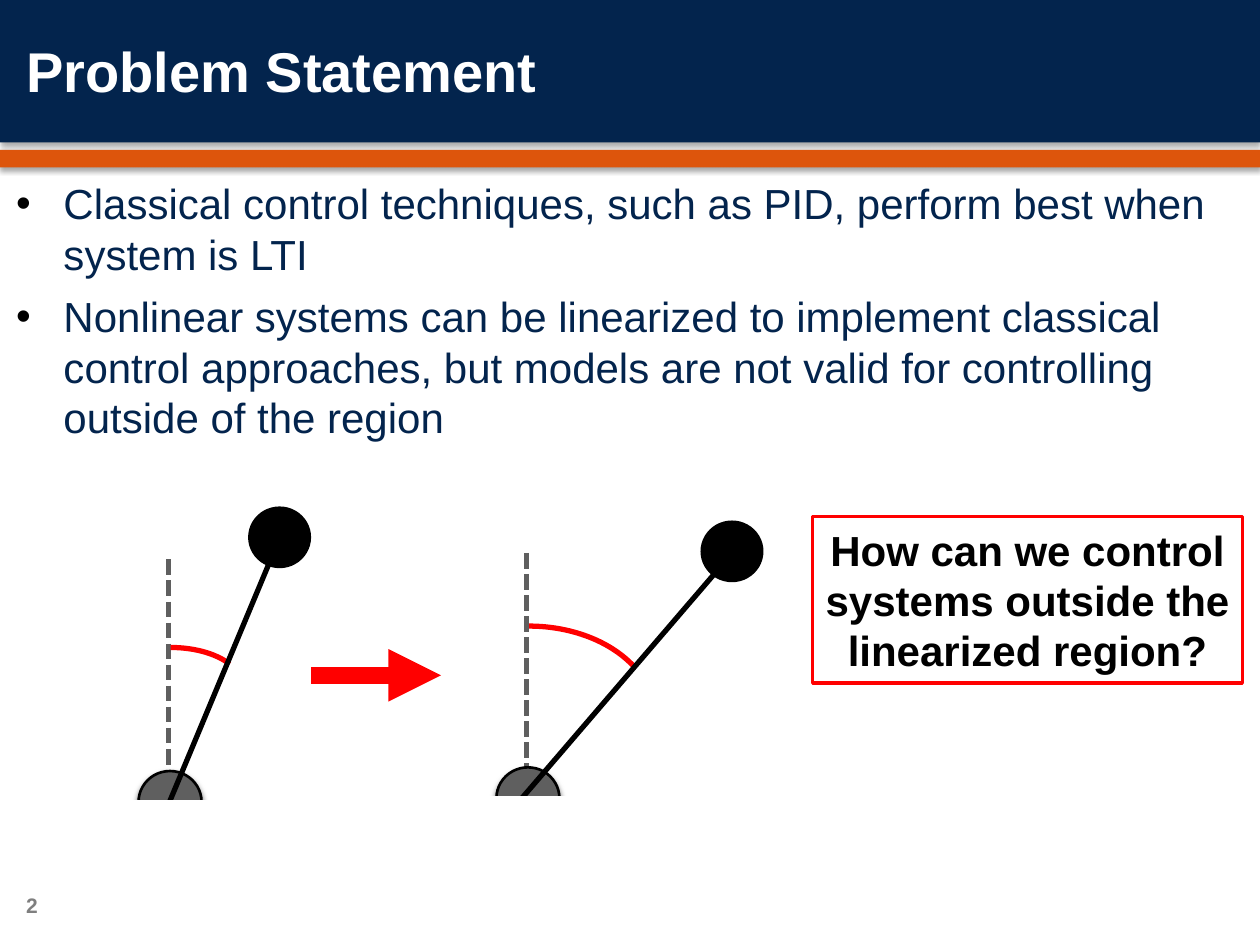
"""Build the problem statement slide with two pendulums and a question box."""
import pptx
import pptx.util
import pptx.dml.color
import pptx.enum.dml
import pptx.enum.shapes
import pptx.enum.text
import pptx.oxml
import pptx.oxml.ns

Pt = pptx.util.Pt
SHAPE = pptx.enum.shapes.MSO_SHAPE
ALIGN = pptx.enum.text.PP_ALIGN
MIDDLE = pptx.enum.text.MSO_ANCHOR.MIDDLE
NAVY, ORANGE, RED, GRAY = "03244D", "DD550C", "FF0000", "5F5F5F"
BLACK, WHITE = "000000", "FFFFFF"

TITLE = "Problem Statement"
BULLETS = [
    "Classical control techniques, such as PID, perform best when system is LTI",
    "Nonlinear systems can be linearized to implement classical control approaches, "
    "but models are not valid for controlling outside of the region",
]
QUESTION = ["How can we control systems outside the", "linearized region?"]
BANDS = [(0, 81.4, NAVY), (85.7, 10, ORANGE)]
PENDULUMS = [
    dict(hub=(79.2, 440.6), ball=(141.8, 289.4), guide=(96.5, 319.7, 457.2),
         rod=(94.3, 464.4, 157.7, 312.5), arc=(56.9, 370, 81.4, 43.2), end=204.12,
         mask=(58.3, 457.2)),
    dict(hub=(283.7, 438.5), ball=(400.3, 297.4), guide=(301, 316, 452.9),
         rod=(293, 462.2, 419, 315.4), arc=(230.4, 357.8, 144, 103.7), end=200.59,
         mask=(262.8, 455)),
]
BALL_SIZE = (36, 35.3)
MASK_SIZE = (80, 56.9)


def color(value):
    return pptx.dml.color.RGBColor.from_string(value)


def xml(tag, inner="", attrs=""):
    ns = pptx.oxml.ns.nsdecls("a")
    return pptx.oxml.parse_xml(f"<a:{tag} {ns} {attrs}>{inner}</a:{tag}>")


def shadow(sp, alpha, dist):
    sp._element.spPr.append(xml("effectLst", (
        f'<a:outerShdw blurRad="{Pt(3)}" dist="{Pt(dist)}" dir="5400000" rotWithShape="0">'
        f'<a:srgbClr val="000000"><a:alpha val="{alpha * 1000}"/></a:srgbClr></a:outerShdw>')))


def add_shape(s, kind, box, fill=None, line=None, width=1, effect=None):
    sp = s.shapes.add_shape(kind, *map(Pt, box))
    if fill:
        sp.fill.solid()
        sp.fill.fore_color.rgb = color(fill)
    else:
        sp.fill.background()
    if line:
        sp.line.color.rgb = color(line)
        sp.line.width = Pt(width)
    else:
        sp.line.fill.background()
    if effect:
        shadow(sp, *effect)
    else:
        sp.shadow.inherit = False
    return sp


def add_line(s, points, line, width, dash=None, arrow=False):
    cx = s.shapes.add_connector(pptx.enum.shapes.MSO_CONNECTOR.STRAIGHT, *map(Pt, points))
    cx.line.color.rgb = color(line)
    cx.line.width = Pt(width)
    if dash:
        cx.line.dash_style = dash
    if arrow:
        cx.line._get_or_add_ln().append(xml("tailEnd", attrs='type="triangle"'))
    cx._element.spPr.append(xml("effectLst"))


def add_text(sp, texts, size=24, ink=BLACK, bold=False, align=ALIGN.LEFT,
             anchor=MIDDLE, inset=(7.2, 3.6), bullet=False, gap=0):
    tf = sp.text_frame
    tf.word_wrap = True
    tf.vertical_anchor = anchor
    tf.margin_left = tf.margin_right = Pt(inset[0])
    tf.margin_top = tf.margin_bottom = Pt(inset[1])
    for i, text in enumerate(texts):
        p = tf.paragraphs[0] if i == 0 else tf.add_paragraph()
        p.alignment = align
        p.space_before = Pt(gap if i else 0)
        if bullet:
            pPr = p._p.get_or_add_pPr()
            pPr.set("marL", str(Pt(27)))
            pPr.set("indent", str(-Pt(27)))
            pPr.append(xml("buClr", f'<a:srgbClr val="{BLACK}"/>'))
            pPr.append(xml("buFont", attrs='typeface="Arial"'))
            pPr.append(xml("buChar", attrs='char="•"'))
        r = p.add_run()
        r.text = text
        r.font.name = "Arial"
        r.font.size = Pt(size)
        r.font.bold = bold
        r.font.color.rgb = color(ink)


def add_box(s, box, texts, **fmt):
    add_text(s.shapes.add_textbox(*map(Pt, box)), texts, **fmt)


def add_pendulum(s, hub, ball, guide, rod, arc, end, mask):
    x, top, bottom = guide
    add_line(s, (x, top, x, bottom), GRAY, 3, pptx.enum.dml.MSO_LINE.SQUARE_DOT)
    sweep = add_shape(s, SHAPE.ARC, arc, line=RED, width=3)
    sweep.adjustments[0] = 162
    sweep.adjustments[1] = end
    add_shape(s, SHAPE.OVAL, hub + BALL_SIZE, GRAY, BLACK, 1.5, (50, 2))
    add_line(s, rod, BLACK, 3)
    add_shape(s, SHAPE.OVAL, ball + BALL_SIZE, BLACK)
    add_shape(s, SHAPE.RECTANGLE, mask + MASK_SIZE, WHITE)


def main():
    prs = pptx.Presentation()
    prs.slide_width, prs.slide_height = Pt(720), Pt(540)
    s = prs.slides.add_slide(prs.slide_layouts[6])
    for top, height, fill in BANDS:
        add_shape(s, SHAPE.RECTANGLE, (0, top, 720, height), fill, effect=(35, 1.8))
    add_box(s, (7.9, 4.3, 620.6, 71.3), [TITLE], size=32, ink=WHITE, bold=True)
    add_box(s, (7.9, 502.6, 162, 28.8), ["2"], size=12, ink="7F7F7F", bold=True)
    add_box(s, (4.3, 98.6, 712, 432.7), BULLETS, ink=NAVY, bullet=True, gap=7,
            anchor=pptx.enum.text.MSO_ANCHOR.TOP, inset=(5, 2.9))
    question = add_shape(s, SHAPE.RECTANGLE, (464.4, 295.2, 245.5, 95), WHITE, RED, 2)
    add_text(question, QUESTION, bold=True, align=ALIGN.CENTER, inset=(4.3, 4.3))
    for pendulum in PENDULUMS:
        add_pendulum(s, **pendulum)
    add_line(s, (177.8, 385.9, 252, 385.9), RED, 10, arrow=True)
    prs.save("out.pptx")


if __name__ == "__main__":
    main()
